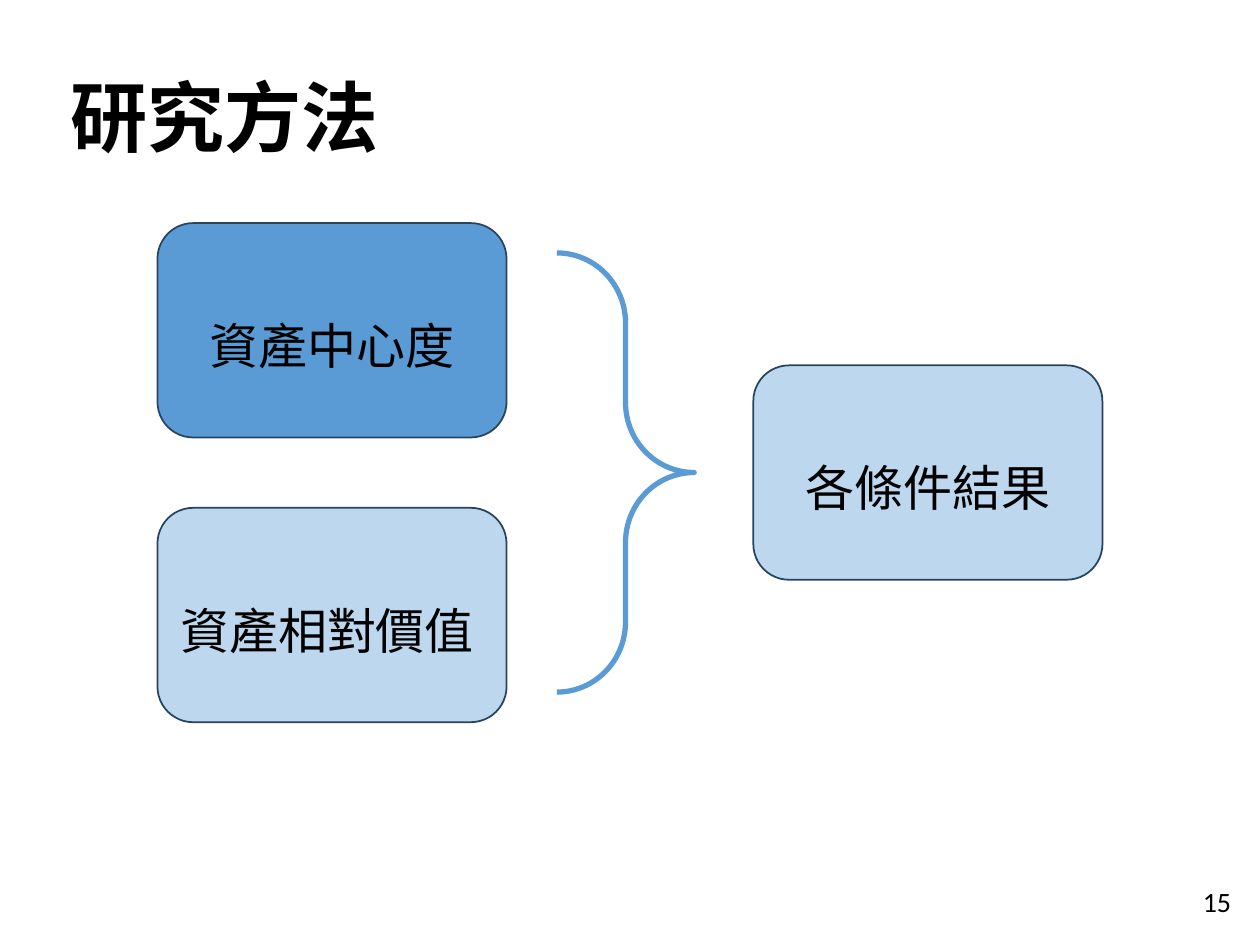
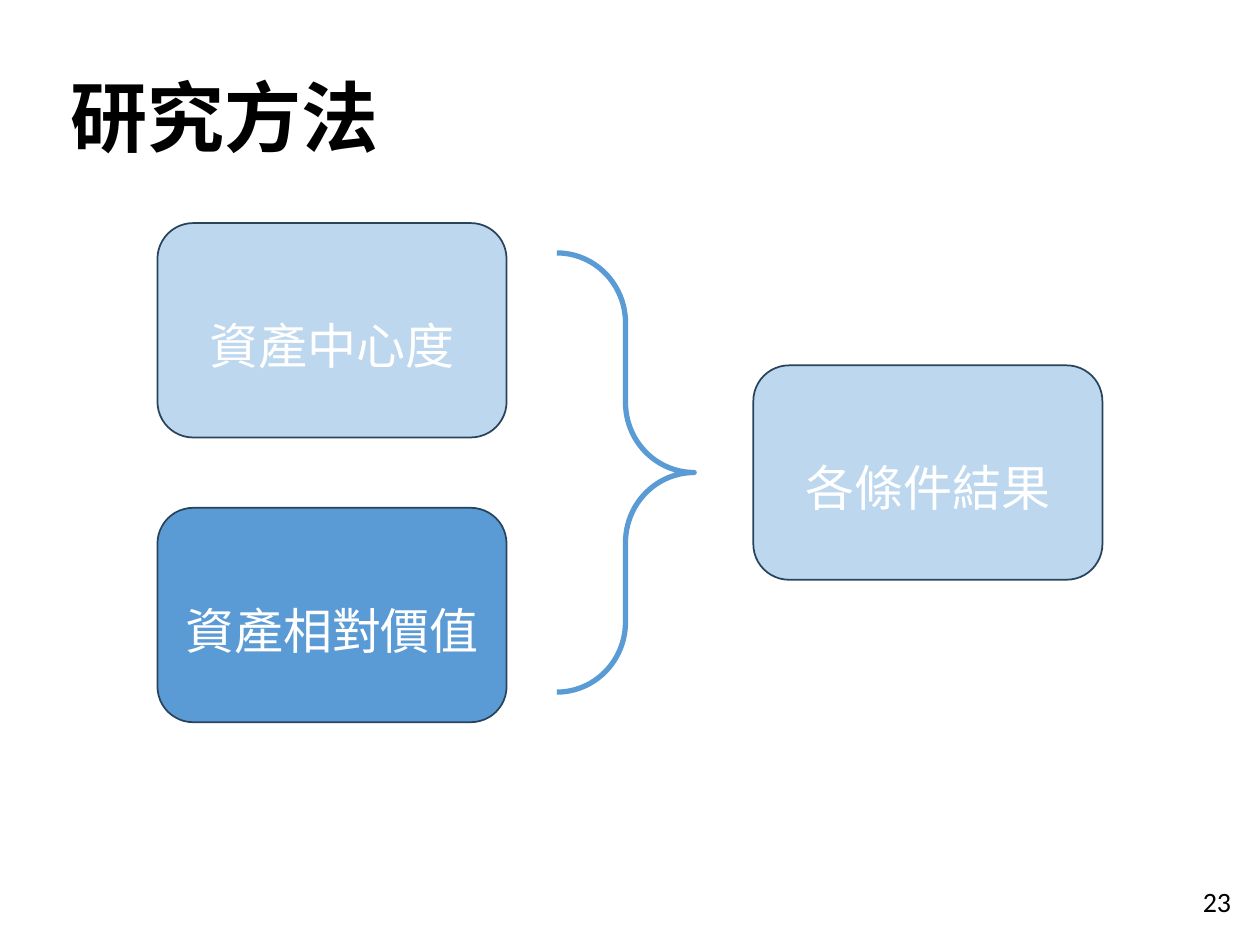
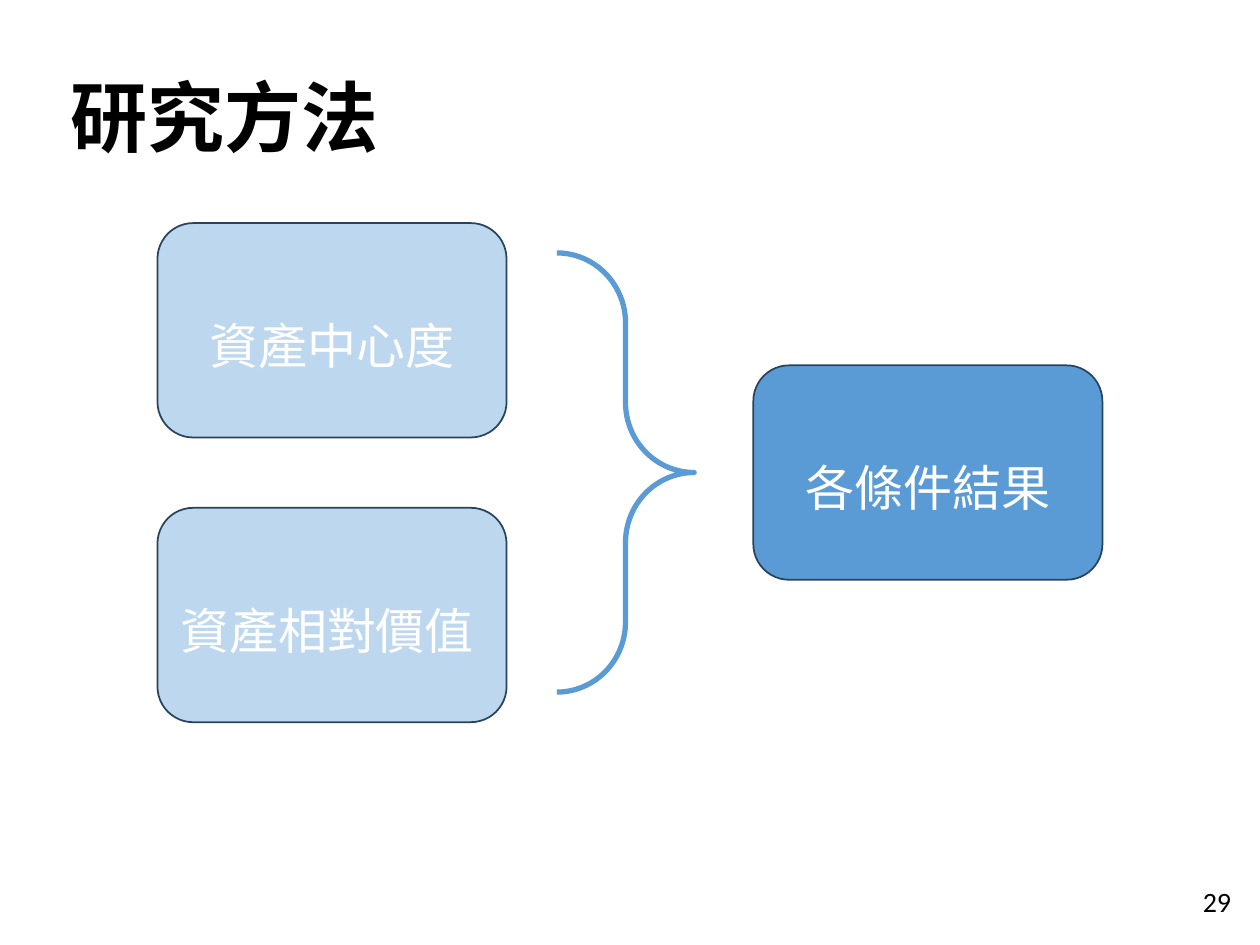
import pptx
import pptx.util
import pptx.dml.color
import pptx.enum.shapes
import pptx.enum.text
import lxml.etree

Pt = pptx.util.Pt
Align = pptx.enum.text.PP_ALIGN
Preset = pptx.enum.shapes.MSO_SHAPE

COLOURS = {
    "text": "000000",
    "light_text": "FFFFFF",
    "active": "5B9BD5",
    "inactive": "BDD7EE",
    "outline": "28445D",
}
CJK_FONT = "Noto Sans CJK SC"
NUMBER_FONT = "Calibri"
BOX_WIDTH, BOX_HEIGHT = 199.5, 122.5
STEPS = [
    ("資產中心度", 90, 127.5),
    ("資產相對價值", 90, 290.2),
    ("各條件結果", 430.5, 208.8),
]
PAGES = [
    ("15", "資產中心度", "text"),
    ("23", "資產相對價值", "light_text"),
    ("29", "各條件結果", "light_text"),
]


def colour(name):
    return pptx.dml.color.RGBColor.from_string(COLOURS[name])


def write(shape, text, size, font, colour_name, align, spacing=1.0, bold=False):
    frame = shape.text_frame
    frame.word_wrap = True
    frame.vertical_anchor = pptx.enum.text.MSO_ANCHOR.MIDDLE
    para = frame.paragraphs[0]
    para.text = text
    para.alignment = align
    para.line_spacing = spacing
    para.font.size = Pt(size)
    para.font.bold = bold
    para.font.name = font
    para.font.color.rgb = colour(colour_name)
    properties = para.font._element
    east_asian = lxml.etree.SubElement(properties, pptx.oxml.ns.qn("a:ea"))
    east_asian.set("typeface", font)


deck = pptx.Presentation()
deck.slide_width = Pt(720)
deck.slide_height = Pt(540)

for number, active_step, label_colour in PAGES:
    page = deck.slides.add_slide(deck.slide_layouts[5])

    title = page.shapes.title
    title.left, title.top, title.width, title.height = Pt(33), Pt(26.6), Pt(239), Pt(85.7)
    write(title, "研究方法", 44, CJK_FONT, "text", Align.LEFT, 0.9, True)

    for label, left, top in STEPS:
        box = page.shapes.add_shape(
            Preset.ROUNDED_RECTANGLE, Pt(left), Pt(top), Pt(BOX_WIDTH), Pt(BOX_HEIGHT)
        )
        box.shadow.inherit = False
        box.fill.solid()
        box.fill.fore_color.rgb = colour("active" if label == active_step else "inactive")
        box.line.color.rgb = colour("outline")
        box.line.width = Pt(1)
        left_aligned = label == "資產相對價值" and label != active_step
        align = Align.LEFT if left_aligned else Align.CENTER
        write(box, label, 28, CJK_FONT, label_colour, align, 1.5)

    brace = page.shapes.add_shape(Preset.RIGHT_BRACE, Pt(318.2), Pt(144.5), Pt(78.5), Pt(251))
    brace.adjustments[0] = 0.51
    brace.adjustments[1] = 0.5
    brace.shadow.inherit = False
    brace.fill.background()
    brace.line.color.rgb = colour("active")
    brace.line.width = Pt(3)

    page_number = page.shapes.add_textbox(Pt(548.6), Pt(500.4), Pt(162), Pt(28.8))
    write(page_number, number, 16, NUMBER_FONT, "text", Align.RIGHT)

deck.save("out.pptx")
